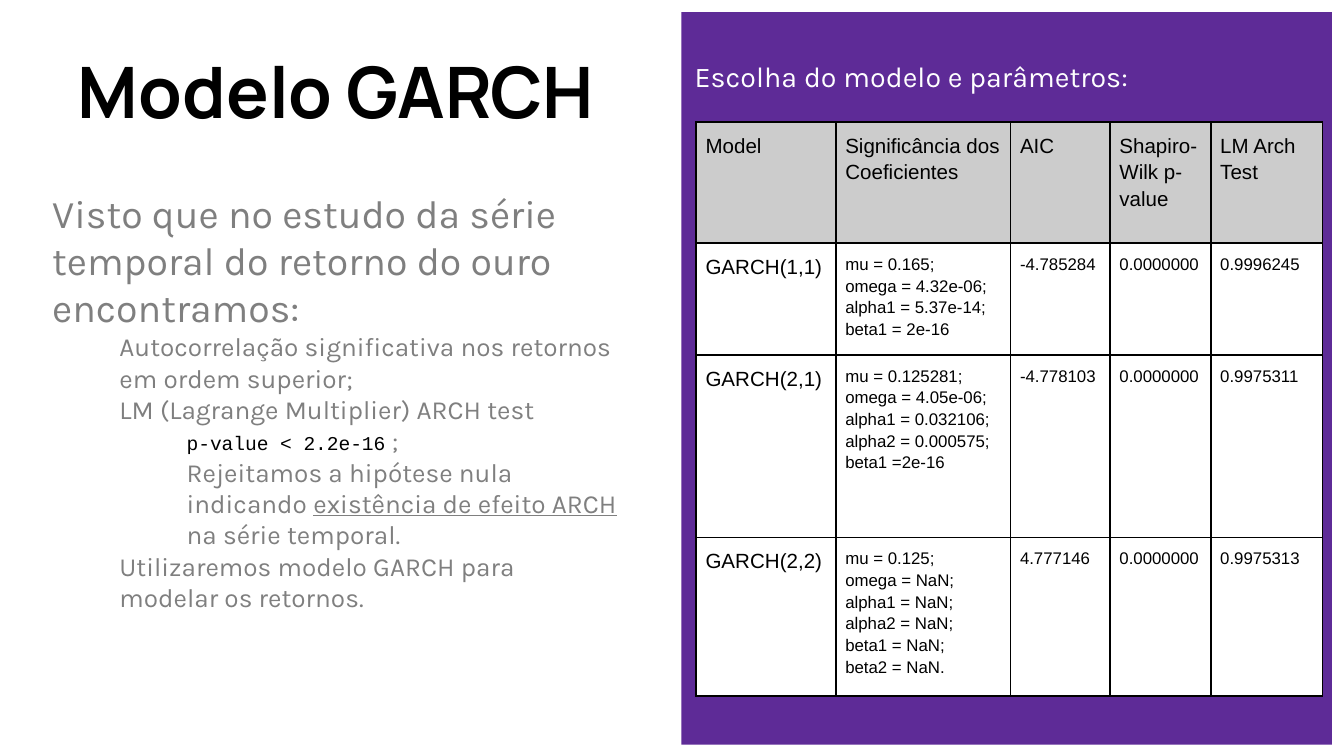
from lxml import etree
from pptx import Presentation
from pptx.dml.color import RGBColor
from pptx.enum.shapes import MSO_SHAPE
from pptx.enum.text import MSO_ANCHOR, MSO_AUTO_SIZE, PP_ALIGN
from pptx.oxml.ns import qn
from pptx.util import Inches, Pt

RECT = MSO_SHAPE.RECTANGLE
TOP, BOTTOM = MSO_ANCHOR.TOP, MSO_ANCHOR.BOTTOM
CENTER = PP_ALIGN.CENTER
NO_FIT = MSO_AUTO_SIZE.NONE

COLORS = {
    "purple": "5E2B97",
    "white": "FFFFFF",
    "black": "000000",
    "gray": "7F7F7F",
    "head": "CCCCCC",
}


class Page:
    """Holds the style and the current slide."""

    def __init__(self, slide):
        self.slide = slide

    def color(self, name):
        return RGBColor.from_string(COLORS[name])

    def style(self, run, face, size, color, bold=False):
        font = run.font
        font.name, font.size, font.bold = face, Pt(size), bold
        font.color.rgb = self.color(color)

    def frame(self, shape, anchor):
        frame = shape.text_frame
        frame.word_wrap = True
        frame.auto_size = NO_FIT
        frame.vertical_anchor = anchor
        frame.margin_left = frame.margin_right = Inches(0.1)
        frame.margin_top = frame.margin_bottom = Inches(0.1)
        return frame

    def title(self, text, x, y, w, h):
        shape = self.slide.shapes.title
        shape.left, shape.top = Inches(x), Inches(y)
        shape.width, shape.height = Inches(w), Inches(h)
        frame = self.frame(shape, BOTTOM)
        frame.text = text
        para = frame.paragraphs[0]
        para.alignment = CENTER
        self.style(para.runs[0], "Manrope", 38, "black", True)

    def panel(self, x, y, w, h, color):
        shape = self.slide.shapes.add_shape(
            RECT, Inches(x), Inches(y), Inches(w), Inches(h))
        shape.shadow.inherit = False
        shape.fill.solid()
        shape.fill.fore_color.rgb = self.color(color)
        shape.line.fill.background()

    def text(self, paras, x, y, w, h, color, space=None):
        """Each paragraph is (indent, size, list of (text, kind))."""
        box = self.slide.shapes.add_textbox(
            Inches(x), Inches(y), Inches(w), Inches(h))
        frame = self.frame(box, TOP)
        for i, (indent, size, parts) in enumerate(paras):
            para = frame.add_paragraph() if i else frame.paragraphs[0]
            para.line_spacing = space
            para._p.get_or_add_pPr().set("marL", str(Inches(indent)))
            for words, kind in parts:
                run = para.add_run()
                run.text = words
                if kind == "code":
                    self.style(run, "Courier New", 10.5, "black")
                else:
                    self.style(run, "Karla", size, color)
                if kind == "under":
                    run.font.underline = True

    def border(self, cell):
        props = cell._tc.get_or_add_tcPr()
        for i, side in enumerate(("lnL", "lnR", "lnT", "lnB")):
            line = etree.Element(qn("a:" + side), w=str(Pt(1)))
            fill = etree.SubElement(line, qn("a:solidFill"))
            etree.SubElement(fill, qn("a:srgbClr"), val=COLORS["black"])
            props.insert(i, line)

    def cell(self, cell, text, size, fill):
        cell.fill.solid()
        cell.fill.fore_color.rgb = self.color(fill)
        cell.margin_left = cell.margin_right = Inches(0.07)
        cell.margin_top = cell.margin_bottom = Inches(0.07)
        cell.text_frame.text = text
        for para in cell.text_frame.paragraphs:
            para.line_spacing = 1.15
            self.style(para.runs[0], "Arial", size, "black")
        self.border(cell)

    def table(self, rows, x, y, widths, heights):
        table = self.slide.shapes.add_table(
            len(rows), len(widths), Inches(x), Inches(y),
            Inches(sum(widths)), Inches(sum(heights))).table
        table.first_row = table.horz_banding = False
        for col, width in zip(table.columns, widths):
            col.width = Inches(width)
        for r, (row, height) in enumerate(zip(rows, heights)):
            table.rows[r].height = Inches(height)
            for c, text in enumerate(row):
                size = 11 if r == 0 or c == 0 else 9
                fill = "white" if r else "head"
                self.cell(table.cell(r, c), text, size, fill)


FINDINGS = [
    (0, 21, [("Visto que no estudo da série temporal do retorno do ouro "
              "encontramos:", "")]),
    (0.5, 14, [("Autocorrelação significativa nos retornos em ordem "
                "superior;", "")]),
    (0.5, 14, [("LM (Lagrange Multiplier) ARCH test", "")]),
    (1, 14, [("p-value < 2.2e-16", "code"), (" ;", "")]),
    (1, 14, [("Rejeitamos a hipótese nula indicando ", ""),
             ("existência de efeito ARCH", "under"),
             (" na série temporal.", "")]),
    (0.5, 14, [("Utilizaremos modelo GARCH para modelar os retornos.", "")]),
]

MODELS = [
    ("Model", "Significância dos Coeficientes", "AIC",
     "Shapiro-Wilk p-value", "LM Arch Test"),
    ("GARCH(1,1)",
     "mu = 0.165;\nomega = 4.32e-06;\nalpha1 = 5.37e-14;\nbeta1 = 2e-16",
     "-4.785284", "0.0000000", "0.9996245"),
    ("GARCH(2,1)",
     "mu = 0.125281;\nomega = 4.05e-06;\nalpha1 = 0.032106;\n"
     "alpha2 = 0.000575;\nbeta1 =2e-16",
     "-4.778103", "0.0000000", "0.9975311"),
    ("GARCH(2,2)",
     "mu = 0.125;\nomega = NaN;\nalpha1 = NaN;\nalpha2 = NaN;\n"
     "beta1 = NaN;\nbeta2 = NaN.",
     "4.777146", "0.0000000", "0.9975313"),
]


def main():
    deck = Presentation()
    # Widescreen, 16 to 9
    deck.slide_width, deck.slide_height = Inches(10), Inches(10 * 9 / 16)
    page = Page(deck.slides.add_slide(deck.slide_layouts[5]))

    # Left side: title and findings
    page.title("Modelo GARCH", 0.29, 0.18, 4.42, 0.91)
    page.text(FINDINGS, 0.29, 1.31, 4.42, 3.53, "gray")

    # Right side: panel, heading and model table
    page.panel(5.07, 0.09, 4.84, 5.45, "purple")
    heading = [(0, 15.3, [("Escolha do modelo e parâmetros:", "")])]
    page.text(heading, 5.07, 0.39, 4.2, 0.67, "white", 0.8)
    page.table(MODELS, 5.18, 0.91, (1.04, 1.3, 0.74, 0.75, 0.83),
               (0.9, 0.83, 1.36, 1.18))

    deck.save("out.pptx")


if __name__ == "__main__":
    main()
